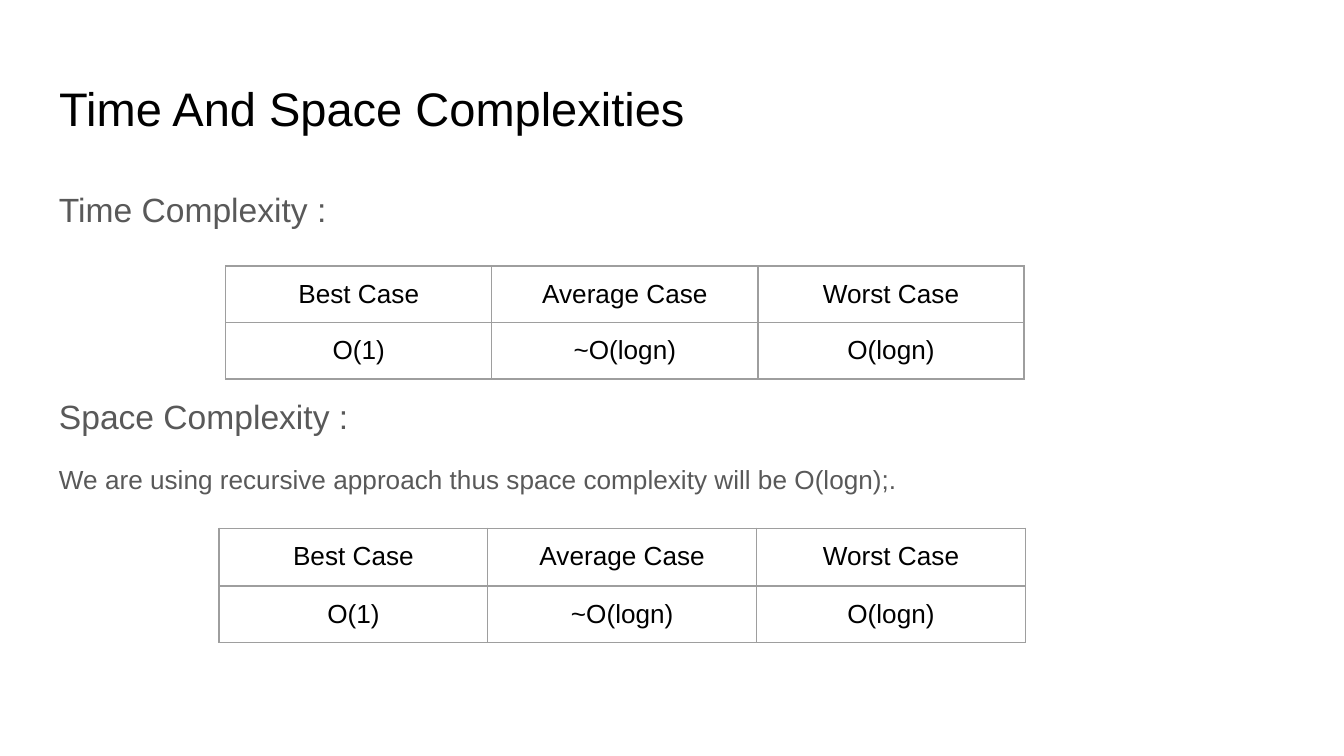
import dataclasses

import lxml.etree
import pptx
import pptx.dml.color
import pptx.enum.text
import pptx.oxml.ns
import pptx.util

Inches = pptx.util.Inches
Pt = pptx.util.Pt
Align = pptx.enum.text.PP_ALIGN


@dataclasses.dataclass(frozen=True)
class Theme:
    font: str = "Arial"
    ink: str = "000000"
    gray: str = "595959"
    rule: str = "9E9E9E"
    title: float = 25.2
    head: float = 18
    text: float = 14
    line: float = 0.75
    inset: float = 0.1


@dataclasses.dataclass(frozen=True)
class Line:
    text: str
    size: float
    before: float


@dataclasses.dataclass(frozen=True)
class Grid:
    left: float
    top: float
    width: float
    rows: tuple[float, ...]


THEME = Theme()
CASES = (
    ("Best Case", "Average Case", "Worst Case"),
    ("O(1)", "~O(logn)", "O(logn)"),
)
# The large space before the second heading leaves room for the first table
LINES = (
    Line("Time Complexity :", THEME.head, 0),
    Line("Space Complexity :", THEME.head, 86),
    Line("We are using recursive approach thus space complexity will be O(logn);.",
         THEME.text, 12),
)
GRIDS = (
    Grid(1.68, 1.98, 1.98, (0.42, 0.42)),
    Grid(1.63, 3.93, 2, (0.43, 0.42)),
)


def style(para, size: float, color: str, align=Align.LEFT) -> None:
    para.alignment = align
    para.font.name = THEME.font
    para.font.size = Pt(size)
    para.font.color.rgb = pptx.dml.color.RGBColor.from_string(color)


def inset(item) -> None:
    for side in ("left", "top", "right", "bottom"):
        setattr(item, f"margin_{side}", Inches(THEME.inset))


def setup(frame) -> None:
    frame.word_wrap = True
    frame.auto_size = pptx.enum.text.MSO_AUTO_SIZE.NONE
    frame.vertical_anchor = pptx.enum.text.MSO_ANCHOR.TOP
    inset(frame)


def border(cell) -> None:
    props = cell._tc.get_or_add_tcPr()
    name = pptx.oxml.ns.qn
    for spot, side in enumerate(("a:lnL", "a:lnR", "a:lnT", "a:lnB")):
        edge = lxml.etree.Element(name(side), w=str(Pt(THEME.line)))
        fill = lxml.etree.SubElement(edge, name("a:solidFill"))
        lxml.etree.SubElement(fill, name("a:srgbClr"), val=THEME.rule)
        props.insert(spot, edge)


def draw_title(slide, text: str) -> None:
    title = slide.shapes.title
    title.left, title.top = Inches(0.34), Inches(0.49)
    title.width, title.height = Inches(9.32), Inches(0.63)
    setup(title.text_frame)
    title.text_frame.text = text
    style(title.text_frame.paragraphs[0], THEME.title, THEME.ink)


def draw_body(slide, lines: tuple[Line, ...]) -> None:
    box = slide.shapes.add_textbox(
        Inches(0.34), Inches(1.26), Inches(9.32), Inches(3.74))
    frame = box.text_frame
    setup(frame)
    for index, line in enumerate(lines):
        para = frame.add_paragraph() if index else frame.paragraphs[0]
        para.text = line.text
        para.line_spacing = 1.15
        para.space_before = Pt(line.before)
        style(para, line.size, THEME.gray)


def draw_grid(slide, grid: Grid, cells: tuple[tuple[str, ...], ...]) -> None:
    count = len(cells[0])
    table = slide.shapes.add_table(
        len(cells), count, Inches(grid.left), Inches(grid.top),
        Inches(grid.width * count), Inches(sum(grid.rows))).table
    table.first_row = table.horz_banding = False
    for column in table.columns:
        column.width = Inches(grid.width)
    for row, height, texts in zip(table.rows, grid.rows, cells):
        row.height = Inches(height)
        for cell, text in zip(row.cells, texts):
            cell.text = text
            cell.fill.background()
            inset(cell)
            border(cell)
            style(cell.text_frame.paragraphs[0], THEME.text, THEME.ink,
                  Align.CENTER)


def main() -> None:
    # A 16:9 page
    deck = pptx.Presentation()
    deck.slide_width = Inches(10)
    deck.slide_height = deck.slide_width * 9 // 16
    slide = deck.slides.add_slide(deck.slide_layouts.get_by_name("Title Only"))

    # Headings and text
    draw_title(slide, "Time And Space Complexities")
    draw_body(slide, LINES)

    # One table for time, one for space
    for grid in GRIDS:
        draw_grid(slide, grid, CASES)

    deck.save("out.pptx")


if __name__ == "__main__":
    main()
